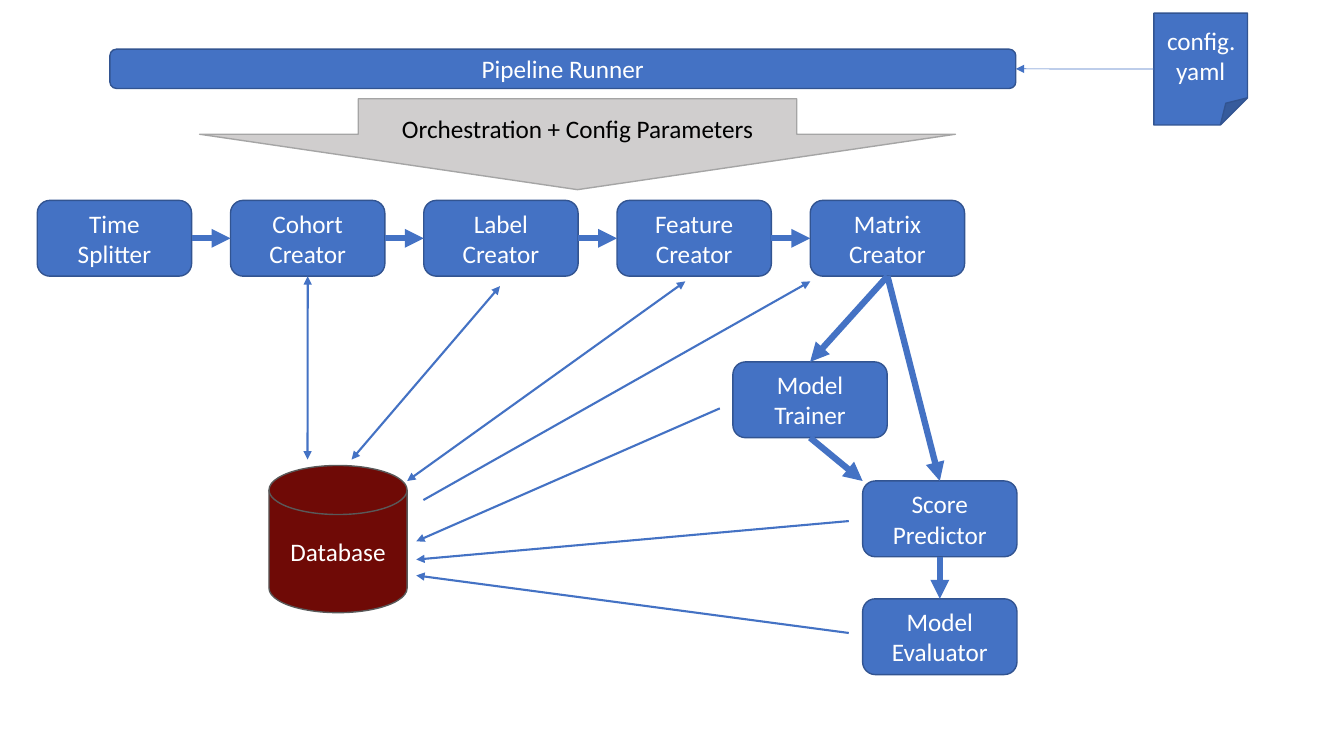
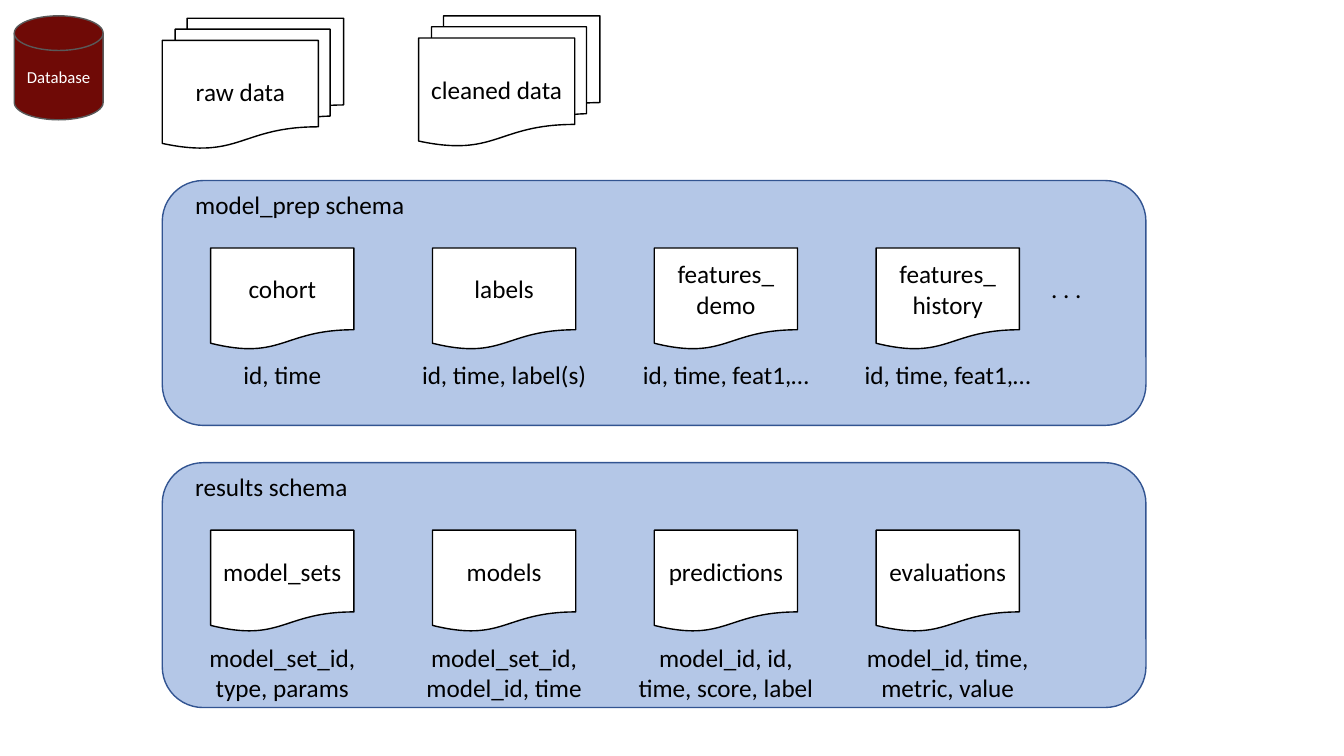
from dataclasses import dataclass
from pptx import Presentation
from pptx.dml.color import RGBColor
from pptx.enum.shapes import MSO_CONNECTOR, MSO_SHAPE
from pptx.enum.text import MSO_ANCHOR, PP_ALIGN
from pptx.oxml.ns import qn
from pptx.util import Cm, Pt
from lxml import etree

STEP = MSO_SHAPE.FLOWCHART_ALTERNATE_PROCESS
DISK = MSO_SHAPE.FLOWCHART_MAGNETIC_DISK
SHEET = MSO_SHAPE.FLOWCHART_DOCUMENT
STACK = MSO_SHAPE.FLOWCHART_MULTIDOCUMENT
FOLD = MSO_SHAPE.FOLDED_CORNER
DOWN = MSO_SHAPE.DOWN_ARROW
ROUND = MSO_SHAPE.ROUNDED_RECTANGLE
LINE = MSO_CONNECTOR.STRAIGHT
MIDDLE, TOP = MSO_ANCHOR.MIDDLE, MSO_ANCHOR.TOP
CENTER, LEFT = PP_ALIGN.CENTER, PP_ALIGN.LEFT
ABOVE, WEST, BELOW, EAST = range(4)


@dataclass(frozen=True)
class Theme:
    font: str = "Calibri"
    body: float = 18
    small: float = 12
    edge: float = 1
    thin: float = 0.5
    mid: float = 1.5
    thick: float = 4.5
    blue: str = "4472C4"
    navy: str = "325491"
    pale: str = "B4C7E7"
    red: str = "6F0A06"
    dark: str = "595959"
    gray: str = "D0CECE"
    rim: str = "A5A5A5"
    white: str = "FFFFFF"
    black: str = "000000"


@dataclass(frozen=True)
class Box:
    x: float
    y: float
    w: float
    h: float

    def sub(self, x, y, w, h):
        return Box(self.x + x, self.y + y, w, h)

    def point(self, x, y):
        return self.x + x, self.y + y

    def size(self):
        return [Cm(v) for v in (self.x, self.y, self.w, self.h)]


T = Theme()
BLUE = (T.blue, T.navy, T.white)
RED = (T.red, T.dark, T.white)
GRAY = (T.gray, T.rim, T.black)
PALE = (T.pale, T.navy, T.black)
PAPER = (T.white, T.black, T.black)


def color(code):
    return RGBColor.from_string(code)


def write(frame, paras, ink, size=T.body, align=CENTER, anchor=MIDDLE):
    frame.word_wrap = True
    frame.vertical_anchor = anchor
    for i, text in enumerate(paras):
        para = frame.add_paragraph() if i else frame.paragraphs[0]
        para.alignment = align
        for j, part in enumerate(text.split("\n")):
            if j:
                para.add_line_break()
            run = para.add_run()
            run.text = part
            run.font.name = T.font
            run.font.size = Pt(size)
            run.font.color.rgb = color(ink)


def block(slide, kind, box, look, text="", size=T.body):
    fill, edge, ink = look
    shape = slide.shapes.add_shape(kind, *box.size())
    shape.shadow.inherit = False
    shape.fill.solid()
    shape.fill.fore_color.rgb = color(fill)
    shape.line.color.rgb = color(edge)
    shape.line.width = Pt(T.edge)
    if text:
        write(shape.text_frame, [text], ink, size)
    return shape


def adjust(shape, **values):
    guides = shape.element.spPr.find(qn("a:prstGeom")).find(qn("a:avLst"))
    for guide in list(guides):
        guides.remove(guide)
    for name, value in values.items():
        guide = etree.SubElement(guides, qn("a:gd"))
        guide.set("name", name)
        guide.set("fmla", f"val {round(value * 100000)}")


def label(slide, box, paras, align=CENTER):
    frame = slide.shapes.add_textbox(*box.size()).text_frame
    write(frame, paras, T.black, align=align, anchor=TOP)


def joined(end):
    return not isinstance(end[0], (int, float))


def arrow(slide, start, end, width=T.mid, both=False):
    ends = [(0, 0) if joined(p) else p for p in (start, end)]
    line = slide.shapes.add_connector(LINE, *[Cm(v) for p in ends for v in p])
    if joined(start):
        line.begin_connect(*start)
    if joined(end):
        line.end_connect(*end)
    line.line.color.rgb = color(T.blue)
    line.line.width = Pt(width)
    stroke = line.get_or_add_ln()
    for tag in ("a:headEnd", "a:tailEnd") if both else ("a:tailEnd",):
        etree.SubElement(stroke, qn(tag)).set("type", "triangle")
    etree.SubElement(line.element.spPr, qn("a:effectLst"))


def runner(slide, box):
    bar = block(slide, STEP, box.sub(0, 0.91, 22.83, 0.99), BLUE, "Pipeline Runner")
    note = block(slide, FOLD, box.sub(26.31, 0, 2.36, 2.82), BLUE, "config.yaml")
    adjust(note, adj=0.29)
    arrow(slide, (note, WEST), (bar, EAST), T.thin)
    guide = block(slide, DOWN, box.sub(2.26, 2.16, 19.05, 2.29), GRAY,
                  "Orchestration + Config Parameters")
    adjust(guide, adj1=0.58, adj2=0.61)


def chain(slide, box):
    texts = ("Time Splitter", "Cohort Creator", "Label Creator",
             "Feature Creator", "Matrix Creator")
    wide = 3.89
    pitch = (box.w - wide) / (len(texts) - 1)
    steps = [block(slide, STEP, box.sub(i * pitch, 0, wide, box.h), BLUE, text)
             for i, text in enumerate(texts)]
    for left, right in zip(steps, steps[1:]):
        arrow(slide, (left, EAST), (right, WEST), T.thick)
    return steps


def model(slide, box, matrix):
    spots = (("Model Trainer", 0, 0), ("Score Predictor", 3.27, 3),
             ("Model Evaluator", 3.27, 5.97))
    train, score, grade = [block(slide, STEP, box.sub(x, y, 3.89, 1.91), BLUE, text)
                           for text, x, y in spots]
    for start, end in (((matrix, BELOW), (train, ABOVE)),
                       ((matrix, BELOW), (score, ABOVE)),
                       ((train, BELOW), box.point(3.27, 3)),
                       ((score, BELOW), (grade, ABOVE))):
        arrow(slide, start, end, T.thick)


def store(slide, box, cohort):
    block(slide, DISK, box, RED, "Database")
    arrow(slide, (cohort, BELOW), box.point(0.97, -0.15), both=True)
    links = (((5.82, -4.52), (2.08, -0.15), True),
             ((10.49, -4.64), (3.48, 0.39), True),
             ((3.89, 0.87), (13.64, -4.64), False),
             ((11.36, -1.44), (3.71, 1.91), False),
             ((14.61, 1.4), (3.71, 2.37), False),
             ((14.61, 4.22), (3.71, 2.77), False))
    for start, end, both in links:
        arrow(slide, box.point(*start), box.point(*end), both=both)


def schema(slide, box, title, tables):
    block(slide, ROUND, box, PALE)
    label(slide, box.sub(0.58, 0.1, 8, 1.02), [title], LEFT)
    wide, room, pitch = 3.61, 5.2, 5.59
    for i, (name, *fields) in enumerate(tables):
        x = 1.22 + i * pitch
        block(slide, SHEET, box.sub(x, 1.7, wide, 2.57), PAPER, name)
        label(slide, box.sub(x - (room - wide) / 2, 4.39, room, 1.02 * len(fields)),
              fields)


def source(slide, box):
    block(slide, DISK, box.sub(0, 0, 2.24, 2.62), RED, "Database", T.small)
    for x, y, text in ((3.73, 0.06, "raw data"), (10.19, 0, "cleaned data")):
        block(slide, STACK, box.sub(x, y, 4.57, 3.28), PAPER, text)


def flow(slide):
    runner(slide, Box(2.77, 0.33, 28.67, 4.45))
    steps = chain(slide, Box(0.94, 5.05, 23.37, 1.91))
    model(slide, Box(18.47, 9.12, 7.16, 7.88), steps[-1])
    store(slide, Box(6.78, 11.73, 3.48, 3.71), steps[1])


def data(slide):
    source(slide, Box(0.36, 0.4, 14.76, 3.34))
    prep = Box(4.09, 4.55, 24.79, 6.17)
    schema(slide, prep, "model_prep schema", (
        ("cohort", "id, time"),
        ("labels", "id, time, label(s)"),
        ("features_\ndemo", "id, time, feat1,…"),
        ("features_\nhistory", "id, time, feat1,…")))
    label(slide, prep.sub(22.15, 2.21, 1.6, 1.02), [". . ."], LEFT)
    schema(slide, Box(prep.x, 11.66, prep.w, prep.h), "results schema", (
        ("model_sets", "model_set_id,", "type, params"),
        ("models", "model_set_id,", "model_id, time"),
        ("predictions", "model_id, id,", "time, score, label"),
        ("evaluations", "model_id, time,", "metric, value")))


def main():
    deck = Presentation()
    deck.slide_width, deck.slide_height = Cm(33.87), Cm(19.05)
    for draw in (flow, data):
        draw(deck.slides.add_slide(deck.slide_layouts[6]))
    deck.save("out.pptx")


if __name__ == "__main__":
    main()
